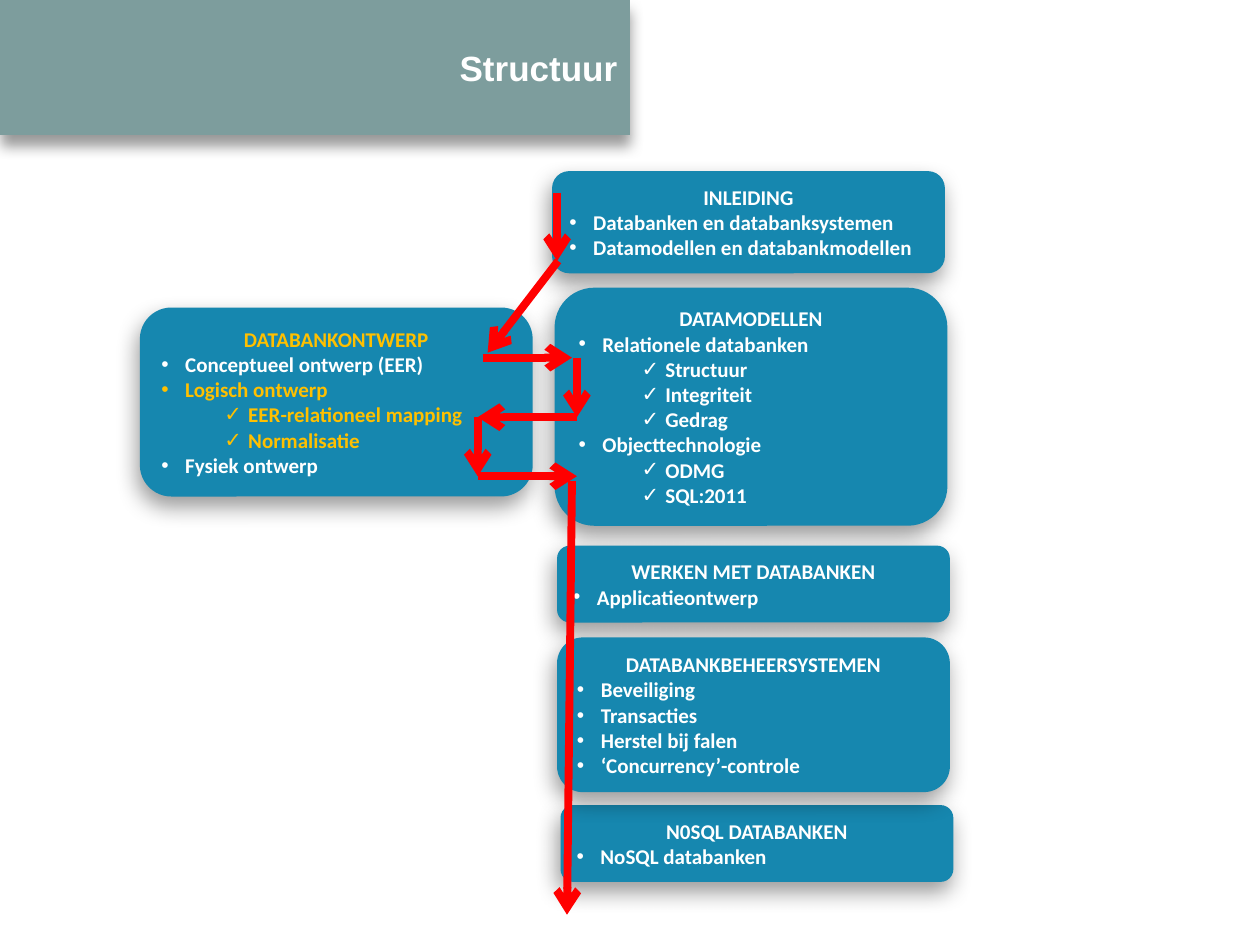
from lxml.etree import SubElement
from pptx import Presentation
from pptx.dml.color import RGBColor
from pptx.enum.shapes import MSO_CONNECTOR, MSO_SHAPE
from pptx.enum.text import MSO_ANCHOR, PP_ALIGN
from pptx.oxml.ns import qn
from pptx.util import Cm, Pt

WHITE = RGBColor(0xFF, 0xFF, 0xFF)
GREY_GREEN = RGBColor(0x7D, 0x9D, 0x9D)
BLUE = RGBColor(0x16, 0x87, 0xAF)
GOLD = RGBColor(0xFF, 0xC0, 0x00)
RED = RGBColor(0xFF, 0x00, 0x00)

BOX_WIDTH = 7.92
BULLET_WIDTH = 0.48
BULLETS = "•✓"
BULLET_INDENTS = (BULLET_WIDTH, 1.75)

# left, top, height, heading, items as (level, text)
BOXES = [
    (11.3, 16.23, 1.55, "N0SQL DATABANKEN", [(0, "NoSQL databanken")]),
    (11.13, 3.45, 2.06, "INLEIDING", [
        (0, "Databanken en databanksystemen"),
        (0, "Datamodellen en databankmodellen")]),
    (2.82, 6.2, 3.81, "DATABANKONTWERP", [
        (0, "Conceptueel ontwerp (EER)"),
        (0, "Logisch ontwerp"),
        (1, "EER-relationeel mapping"),
        (1, "Normalisatie"),
        (0, "Fysiek ontwerp")]),
    (11.18, 5.8, 4.8, "DATAMODELLEN", [
        (0, "Relationele databanken"),
        (1, "Structuur"),
        (1, "Integriteit"),
        (1, "Gedrag"),
        (0, "Objecttechnologie"),
        (1, "ODMG"),
        (1, "SQL:2011")]),
    (11.23, 11, 1.55, "WERKEN MET DATABANKEN", [(0, "Applicatieontwerp")]),
    (11.23, 12.85, 3.12, "DATABANKBEHEERSYSTEMEN", [
        (0, "Beveiliging"),
        (0, "Transacties"),
        (0, "Herstel bij falen"),
        (0, "‘Concurrency’-controle")]),
]
CURRENT_TOPICS = {"DATABANKONTWERP", "Logisch ontwerp",
                  "EER-relationeel mapping", "Normalisatie"}

# start x, start y, end x, end y
ARROWS = [
    (11.25, 5.26, 9.83, 7.11),
    (9.73, 7.21, 11.53, 7.21),
    (11.63, 8.41, 9.63, 8.41),
    (9.63, 9.6, 11.63, 9.6),
    (11.63, 7.21, 11.63, 8.41),
    (9.63, 8.41, 9.63, 9.6),
    (11.53, 9.7, 11.43, 18.44),
    (11.23, 3.89, 11.23, 5.26),
]


def fill_with_shadow(shape, color, blur, angle):
    """Solid fill without outline, and a soft shadow cast at angle degrees."""
    shape.fill.solid()
    shape.fill.fore_color.rgb = color
    shape.line.fill.background()
    shape.shadow.inherit = False
    effects = shape._element.spPr.find(qn("a:effectLst"))
    shadow = SubElement(effects, qn("a:outerShdw"), blurRad=str(Pt(blur)),
                        dist=str(Pt(6)), dir=str(angle * 60000), rotWithShape="0")
    black = SubElement(shadow, qn("a:srgbClr"), val="000000")
    SubElement(black, qn("a:alpha"), val="40000")


def format_font(font, name, size, color):
    font.name = name
    font.size = Pt(size)
    font.bold = True
    font.color.rgb = color


def add_bullet(paragraph, level):
    paragraph.level = level
    properties = paragraph._p.get_or_add_pPr()
    properties.set("marL", str(Cm(BULLET_INDENTS[level])))
    properties.set("indent", str(-Cm(BULLET_WIDTH)))
    SubElement(properties, qn("a:buFont"), typeface="Arial")
    SubElement(properties, qn("a:buChar"), char=BULLETS[level])


def format_title(title):
    title.left, title.top, title.width, title.height = Cm(0), Cm(0), Cm(12.7), Cm(2.72)
    fill_with_shadow(title, GREY_GREEN, 8, 90)
    title.text_frame.text = "Structuur"
    title.text_frame.vertical_anchor = MSO_ANCHOR.MIDDLE
    paragraph = title.text_frame.paragraphs[0]
    paragraph.alignment = PP_ALIGN.RIGHT
    format_font(paragraph.runs[0].font, "Arial", 20, WHITE)


def add_topic_box(slide, left, top, height, heading, items):
    shape = slide.shapes.add_shape(MSO_SHAPE.ROUNDED_RECTANGLE, Cm(left), Cm(top),
                                   Cm(BOX_WIDTH), Cm(height))
    fill_with_shadow(shape, BLUE, 13, 106)
    frame = shape.text_frame
    frame.word_wrap = True
    frame.vertical_anchor = MSO_ANCHOR.MIDDLE
    frame.text = "\n".join([heading] + [text for _, text in items])
    heading_paragraph, *item_paragraphs = frame.paragraphs
    heading_paragraph.alignment = PP_ALIGN.CENTER
    for paragraph, (level, _) in zip(item_paragraphs, items):
        paragraph.alignment = PP_ALIGN.LEFT
        add_bullet(paragraph, level)
    for paragraph in frame.paragraphs:
        color = GOLD if paragraph.text in CURRENT_TOPICS else WHITE
        format_font(paragraph.runs[0].font, "Calibri", 12, color)


def add_arrow(slide, *ends):
    arrow = slide.shapes.add_connector(MSO_CONNECTOR.STRAIGHT, *map(Cm, ends))
    arrow.line.color.rgb = RED
    arrow.line.width = Pt(4.5)
    SubElement(arrow.line._get_or_add_ln(), qn("a:tailEnd"), type="arrow")
    SubElement(arrow._element.spPr, qn("a:effectLst"))


def main():
    presentation = Presentation()
    presentation.slide_width, presentation.slide_height = Cm(25.4), Cm(19.05)
    slide = presentation.slides.add_slide(presentation.slide_layouts[5])
    format_title(slide.shapes.title)
    for box in BOXES:
        add_topic_box(slide, *box)
    for ends in ARROWS:
        add_arrow(slide, *ends)
    presentation.save("out.pptx")


if __name__ == "__main__":
    main()
